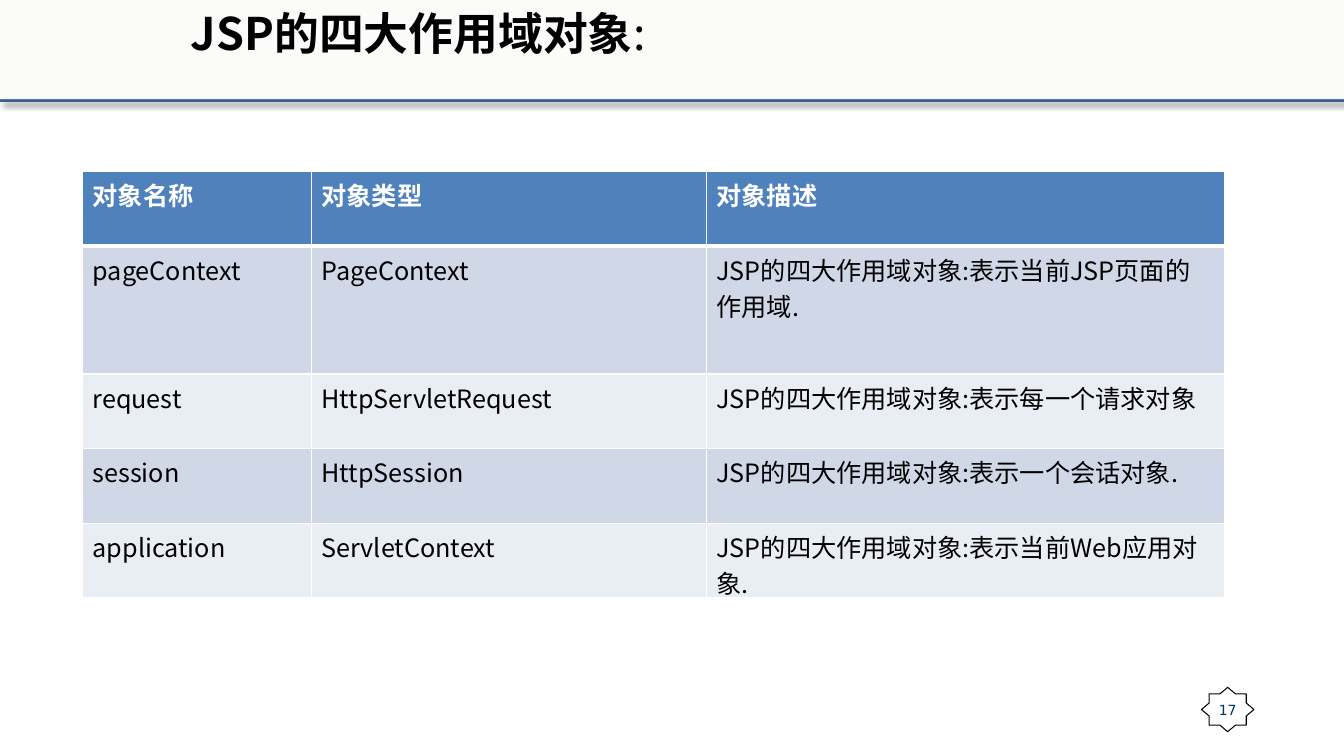
from dataclasses import dataclass

from lxml.etree import SubElement
from pptx import Presentation
from pptx.dml.color import RGBColor
from pptx.enum.shapes import MSO_CONNECTOR as CONN, MSO_SHAPE as SHAPE
from pptx.enum.text import MSO_ANCHOR as ANCHOR, PP_ALIGN as ALIGN
from pptx.oxml.ns import qn
from pptx.util import Pt


@dataclass(frozen=True)
class Theme:
    ink: str = "000000"
    paper: str = "FFFFFF"
    band: str = "EEECE1"
    rule: str = "376092"
    number: str = "003366"
    header: str = "4F81BD"
    stripes: tuple = ("D0D8E8", "E9EDF4")
    font: str = "Noto Sans CJK SC"
    header_font: str = "Arial"
    number_font: str = "DejaVu Sans"
    title_size: int = 32
    table_size: int = 18
    number_size: int = 10


class SlideBuilder:
    def __init__(self, slide, theme):
        self.s = slide
        self.t = theme

    def style(self, r, size, color, font, bold=False):
        f = r.font
        f.size, f.bold, f.name = Pt(size), bold, font
        f.color.rgb = RGBColor.from_string(color)
        SubElement(r._r.get_or_add_rPr(), qn("a:ea"), typeface=self.t.font)

    def color_xml(self, parent, color, alpha=None):
        clr = SubElement(parent, qn("a:srgbClr"), val=color)
        if alpha is not None:
            SubElement(clr, qn("a:alpha"), val=str(alpha * 1000))

    def shape(self, kind, box, fill, alpha=None, line=None):
        sp = self.s.shapes.add_shape(kind, *map(Pt, box))
        sp.shadow.inherit = False
        sp.fill.solid()
        sp.fill.fore_color.rgb = RGBColor.from_string(fill)
        if alpha is not None:
            clr = sp.fill._xPr.find(qn("a:solidFill"))[0]
            SubElement(clr, qn("a:alpha"), val=str(alpha * 1000))
        if line:
            sp.line.color.rgb = RGBColor.from_string(line)
            sp.line.width = Pt(0.75)
        else:
            sp.line.fill.background()
        return sp

    def rule(self, y, width):
        ln = self.s.shapes.add_connector(CONN.STRAIGHT, 0, Pt(y), Pt(width), Pt(y))
        ln.line.color.rgb = RGBColor.from_string(self.t.rule)
        ln.line.width = Pt(2.25)
        effects = SubElement(ln._element.spPr, qn("a:effectLst"))
        shadow = SubElement(effects, qn("a:outerShdw"), blurRad=str(Pt(4)),
                            dist=str(Pt(3)), dir=str(45 * 60000), rotWithShape="0")
        self.color_xml(shadow, self.t.ink, 40)

    def badge(self, box, text):
        sp = self.shape(SHAPE.STAR_8_POINT, box, self.t.paper, line=self.t.ink)
        sp.adjustments[0] = 0.383
        tf = sp.text_frame
        tf.text = text
        tf.word_wrap = False
        tf.vertical_anchor = ANCHOR.MIDDLE
        p = tf.paragraphs[0]
        p.alignment = ALIGN.CENTER
        self.style(p.runs[0], self.t.number_size, self.t.number, self.t.number_font)

    def title(self, box, text, tail):
        tf = self.s.shapes.add_textbox(*map(Pt, box)).text_frame
        tf.word_wrap = True
        tf.vertical_anchor = ANCHOR.MIDDLE
        # The bottom inset lifts the line to the top of the band
        tf.margin_top, tf.margin_bottom = 0, Pt(40)
        p = tf.paragraphs[0]
        p.alignment = ALIGN.CENTER
        for words, bold in ((text, True), (tail, False)):
            r = p.add_run()
            r.text = words
            self.style(r, self.t.title_size, self.t.ink, self.t.font, bold)

    def borders(self, cell, top, bottom):
        tcPr = cell._tc.get_or_add_tcPr()
        for side, width in (("L", 1), ("R", 1), ("T", top), ("B", bottom)):
            ln = SubElement(tcPr, qn(f"a:ln{side}"), w=str(Pt(width)))
            self.color_xml(SubElement(ln, qn("a:solidFill")), self.t.paper)

    def table(self, left, top, cols, heights, rows):
        t = self.t
        tbl = self.s.shapes.add_table(len(rows), len(cols), Pt(left), Pt(top),
                                      Pt(sum(cols)), Pt(sum(heights))).table
        for col, width in zip(tbl.columns, cols):
            col.width = Pt(width)
        for i, (row, height, texts) in enumerate(zip(tbl.rows, heights, rows)):
            row.height = Pt(height)
            head = i == 0
            fill = t.header if head else t.stripes[(i - 1) % 2]
            for cell, text in zip(row.cells, texts):
                self.borders(cell, 3 if i == 1 else 1, 3 if head else 1)
                cell.fill.solid()
                cell.fill.fore_color.rgb = RGBColor.from_string(fill)
                cell.text = text
                self.style(cell.text_frame.paragraphs[0].runs[0], t.table_size,
                           t.paper if head else t.ink,
                           t.header_font if head else t.font, head)


SCOPES = [
    ("对象名称", "对象类型", "对象描述"),
    ("pageContext", "PageContext", "JSP的四大作用域对象:表示当前JSP页面的作用域."),
    ("request", "HttpServletRequest", "JSP的四大作用域对象:表示每一个请求对象"),
    ("session", "HttpSession", "JSP的四大作用域对象:表示一个会话对象."),
    ("application", "ServletContext", "JSP的四大作用域对象:表示当前Web应用对象."),
]


def main():
    prs = Presentation()
    prs.slide_width, prs.slide_height = Pt(960), Pt(540)
    theme = Theme()
    b = SlideBuilder(prs.slides.add_slide(prs.slide_layouts[6]), theme)

    # Header band and page number
    b.rule(72, 964)
    b.shape(SHAPE.RECTANGLE, (0, 0, 960, 71.3), theme.band, alpha=18)
    b.badge((858.2, 491, 37.5, 31.7), "17")

    # Title
    b.title((26.6, 20.9, 544.3, 45.4), "JSP的四大作用域对象", ":")

    # Scope objects
    b.table(59, 122.4, (163.4, 282.2, 370.1), (53.3, 91.4, 53.3, 53.3, 53.3), SCOPES)

    prs.save("out.pptx")


if __name__ == "__main__":
    main()
